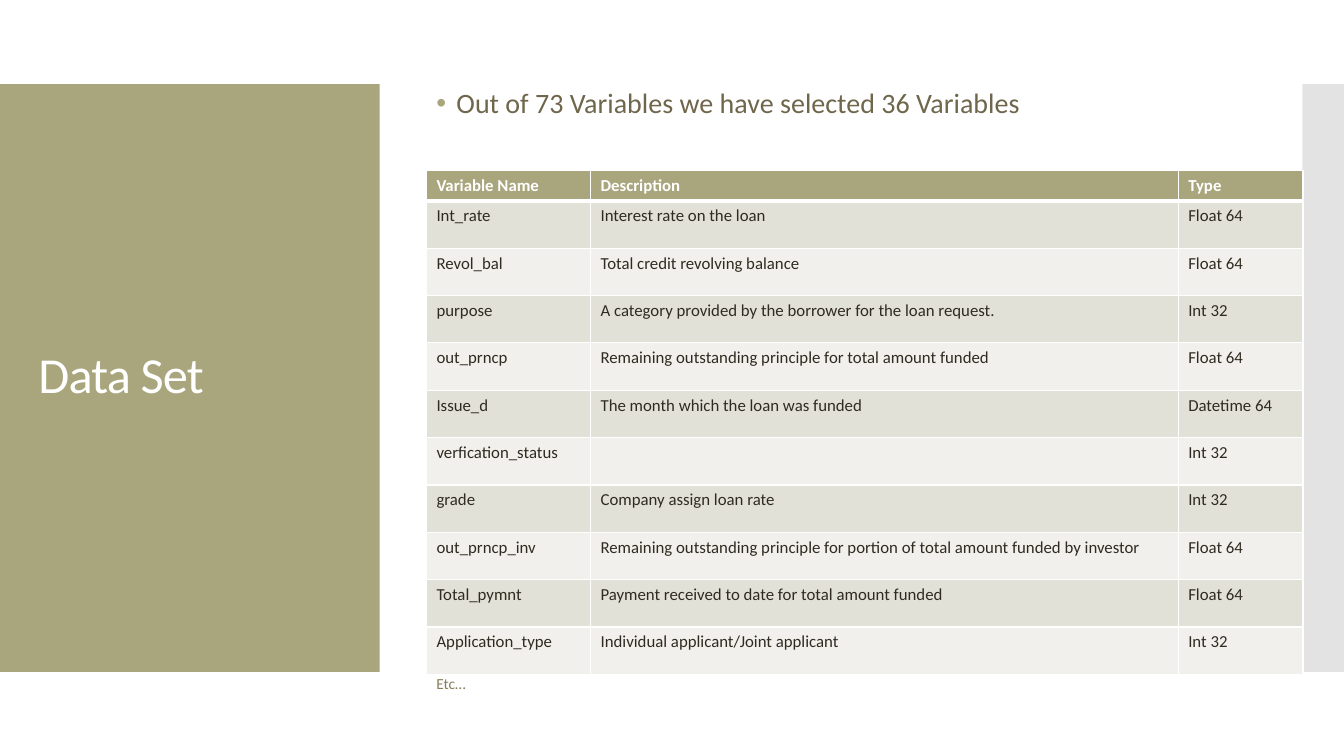
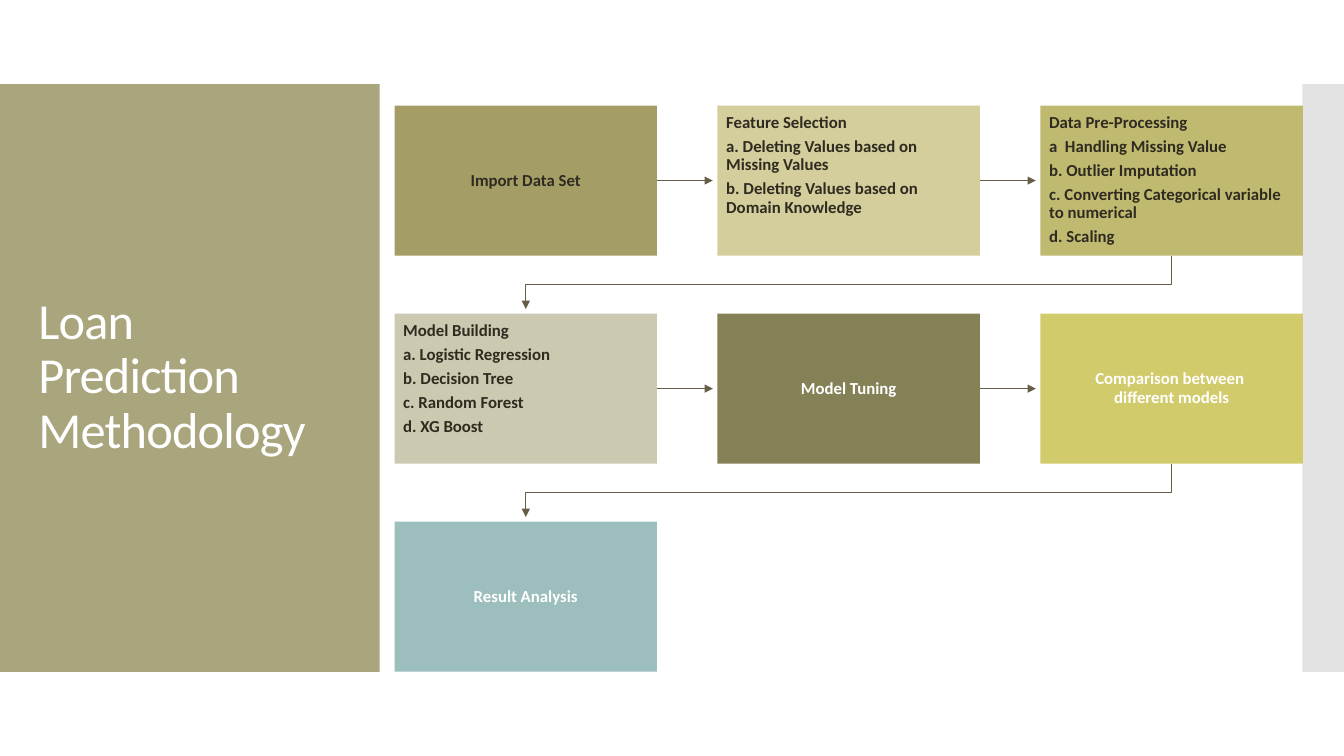
from lxml.etree import SubElement
from pptx import Presentation
from pptx.dml.color import RGBColor
from pptx.enum.shapes import MSO_CONNECTOR, MSO_SHAPE
from pptx.enum.text import MSO_ANCHOR, MSO_AUTO_SIZE, PP_ALIGN
from pptx.oxml.ns import qn
from pptx.util import Pt

RECT, STRAIGHT = MSO_SHAPE.RECTANGLE, MSO_CONNECTOR.STRAIGHT
TOP, MIDDLE, BOTTOM = MSO_ANCHOR.TOP, MSO_ANCHOR.MIDDLE, MSO_ANCHOR.BOTTOM
LEFT, CENTER = PP_ALIGN.LEFT, PP_ALIGN.CENTER
NO_FIT = MSO_AUTO_SIZE.NONE

# Shared style
FONT = "Calibri"
OLIVE, GREY, WHITE, DARK = "A9A57C", "C8C8C8", "FFFFFF", "2F2B20"
BROWN, TAN, LINE = "6F664C", "897D5D", "675E47"
STRIPES = "E2E1D7", "F1F0EC"
BAND_TOP, BAND_H = 60, 420


def rgb(code):
    return RGBColor.from_string(code)


def pts(*values):
    return [Pt(v) for v in values]


def put(item, values):
    for name, value in values.items():
        setattr(item, name, value)


def node(parent, tag, **attrs):
    return SubElement(parent, qn("a:" + tag), attrs)


class Deck:
    def __init__(self):
        self.prs = Presentation()
        put(self.prs, {"slide_width": Pt(960), "slide_height": Pt(540)})
        self.slide = None

    def start(self, title):
        """Add a slide with both side bands and its title."""
        self.slide = self.prs.slides.add_slide(self.prs.slide_layouts[5])
        self.box(0, BAND_TOP, 271.2, BAND_H, OLIVE)
        edge = self.box(930.4, BAND_TOP, 29.6, BAND_H, GREY)
        tint = edge.element.spPr.find(qn("a:solidFill"))[0]
        node(tint, "alpha", val="50000")
        head = self.slide.shapes.title
        head.element.getparent().append(head.element)
        put(head, dict(zip(("left", "top", "width", "height"),
                           pts(20.2, 88.6, 231.8, 362.2))))
        self.words(head.text_frame, [title], 36, WHITE, anchor=MIDDLE)
        for run in head.text_frame.paragraphs[0].runs:
            run._r.get_or_add_rPr().set("spc", "-60")

    def words(self, frame, lines, size, color, bold=False, anchor=TOP,
              align=LEFT, after=0, spacing=0.9):
        put(frame, {"word_wrap": True, "auto_size": NO_FIT,
                    "vertical_anchor": anchor})
        for i, line in enumerate(lines):
            para = frame.add_paragraph() if i else frame.paragraphs[0]
            para.text = line
            put(para, {"alignment": align, "line_spacing": spacing,
                       "space_before": Pt(0), "space_after": Pt(after)})
            for run in para.runs:
                put(run.font, {"name": FONT, "size": Pt(size), "bold": bold})
                run.font.color.rgb = rgb(color)

    def box(self, x, y, w, h, fill):
        shape = self.slide.shapes.add_shape(RECT, *pts(x, y, w, h))
        shape.shadow.inherit = False
        shape.fill.solid()
        shape.fill.fore_color.rgb = rgb(fill)
        shape.line.fill.background()
        return shape

    def text(self, x, y, w, h, line, size, color, bullet=None):
        frame = self.slide.shapes.add_textbox(*pts(x, y, w, h)).text_frame
        self.words(frame, [line], size, color)
        if bullet:
            props = frame.paragraphs[0]._p.get_or_add_pPr()
            indent = str(Pt(14.4))
            props.set("marL", indent)
            props.set("indent", "-" + indent)
            node(node(props, "buClr"), "srgbClr", val=bullet)
            node(props, "buFont", typeface="Arial")
            node(props, "buChar", char="•")

    def arrow(self, *points):
        """Draw a straight or bent arrow through the points."""
        spots = [pts(*p) for p in points]
        if len(spots) == 2:
            shape = self.slide.shapes.add_connector(
                STRAIGHT, *spots[0], *spots[1])
        else:
            outline = self.slide.shapes.build_freeform(*spots[0])
            outline.add_line_segments(spots[1:], close=False)
            shape = outline.convert_to_shape()
            shape.fill.background()
        shape.line.color.rgb = rgb(LINE)
        shape.line.width = Pt(0.75)
        props = shape.element.spPr
        node(props.find(qn("a:ln")), "tailEnd", type="triangle")
        node(props, "effectLst")

    def cell(self, cell, value, row):
        head = row == 0
        props = cell._tc.get_or_add_tcPr()
        widths = {"lnL": 1, "lnR": 1, "lnT": 3 if row == 1 else 1,
                  "lnB": 3 if head else 1}
        for side, width in widths.items():
            edge = node(props, side, w=str(Pt(width)))
            node(node(edge, "solidFill"), "srgbClr", val=WHITE)
        cell.fill.solid()
        cell.fill.fore_color.rgb = rgb(OLIVE if head else STRIPES[(row - 1) % 2])
        self.words(cell.text_frame, [value], 12, WHITE if head else DARK,
                   bold=head, spacing=1.0)
        cell.vertical_anchor = BOTTOM if head else TOP

    def table(self, x, y, cols, head_h, row_h, rows):
        heights = [head_h] + [row_h] * (len(rows) - 1)
        grid = self.slide.shapes.add_table(
            len(rows), len(cols), *pts(x, y, sum(cols), sum(heights))).table
        for col, width in zip(grid.columns, cols):
            col.width = Pt(width)
        for r, (height, row) in enumerate(zip(heights, rows)):
            grid.rows[r].height = Pt(height)
            for c, value in enumerate(row):
                self.cell(grid.cell(r, c), value, r)


deck = Deck()

# Slide 1: chosen variables
deck.start("Data Set")
deck.text(304.6, 60.5, 576, 54, "Out of 73 Variables we have selected 36 Variables",
          20, BROWN, bullet=OLIVE)
deck.table(304.6, 121.6, (117.2, 419.8, 89.2), 20.4, 33.84, [
    ("Variable Name", "Description", "Type"),
    ("Int_rate", "Interest rate on the loan", "Float 64"),
    ("Revol_bal", "Total credit revolving balance", "Float 64"),
    ("purpose", "A category provided by the borrower for the loan request.", "Int 32"),
    ("out_prncp", "Remaining outstanding principle for total amount funded", "Float 64"),
    ("Issue_d", "The month which the loan was funded", "Datetime 64"),
    ("verfication_status", "", "Int 32"),
    ("grade", "Company assign loan rate", "Int 32"),
    ("out_prncp_inv", "Remaining outstanding principle for portion of total "
     "amount funded by investor", "Float 64"),
    ("Total_pymnt", "Payment received to date for total amount funded", "Float 64"),
    ("Application_type", "Individual applicant/Joint applicant", "Int 32"),
])
deck.text(304.6, 479.5, 576, 28, "Etc…", 11, TAN)

# Slide 2: steps in rows of three, joined by arrows
STEPS = [
    ("A49E66", DARK, ["Import Data Set"]),
    ("D3CE9B", DARK, ["Feature Selection",
                      "a. Deleting Values based on Missing Values",
                      "b. Deleting Values based on Domain Knowledge"]),
    ("C0BA71", DARK, ["Data Pre-Processing", "a  Handling Missing Value",
                      "b. Outlier Imputation",
                      "c. Converting Categorical variable to numerical",
                      "d. Scaling"]),
    ("CBC9B0", DARK, ["Model Building", "a. Logistic Regression",
                      "b. Decision Tree", "c. Random Forest", "d. XG Boost"]),
    ("858157", WHITE, ["Model Tuning"]),
    ("D2CB6C", WHITE, ["Comparison between \vdifferent models"]),
    ("9CBEBD", WHITE, ["Result Analysis"]),
]
PER_ROW, X0, Y0 = 3, 281.8, 75.4
BOX_W, BOX_H, GAP_X, GAP_Y, TIP = 187.5, 107.2, 43.2, 41.4, 3.3
INSET = Pt(6.2)

deck.start("Loan Prediction Methodology")
for i, (fill, ink, lines) in enumerate(STEPS):
    row, col = divmod(i, PER_ROW)
    x, y = X0 + col * (BOX_W + GAP_X), Y0 + row * (BOX_H + GAP_Y)
    frame = deck.box(x, y, BOX_W, BOX_H, fill).text_frame
    put(frame, {"margin_" + side: INSET
                for side in ("left", "right", "top", "bottom")})
    lone = len(lines) == 1
    deck.words(frame, lines, 12, ink, bold=True, after=4.2,
               anchor=MIDDLE if lone else TOP, align=CENTER if lone else LEFT)
    if i == len(STEPS) - 1:
        continue
    if col < PER_ROW - 1:
        mid = y + BOX_H / 2
        deck.arrow((x + BOX_W, mid), (x + BOX_W + GAP_X - TIP, mid))
    else:
        mid, base, first = x + BOX_W / 2, y + BOX_H, X0 + BOX_W / 2
        deck.arrow((mid, base), (mid, base + GAP_Y / 2),
                   (first, base + GAP_Y / 2), (first, base + GAP_Y - TIP))

deck.prs.save("out.pptx")
